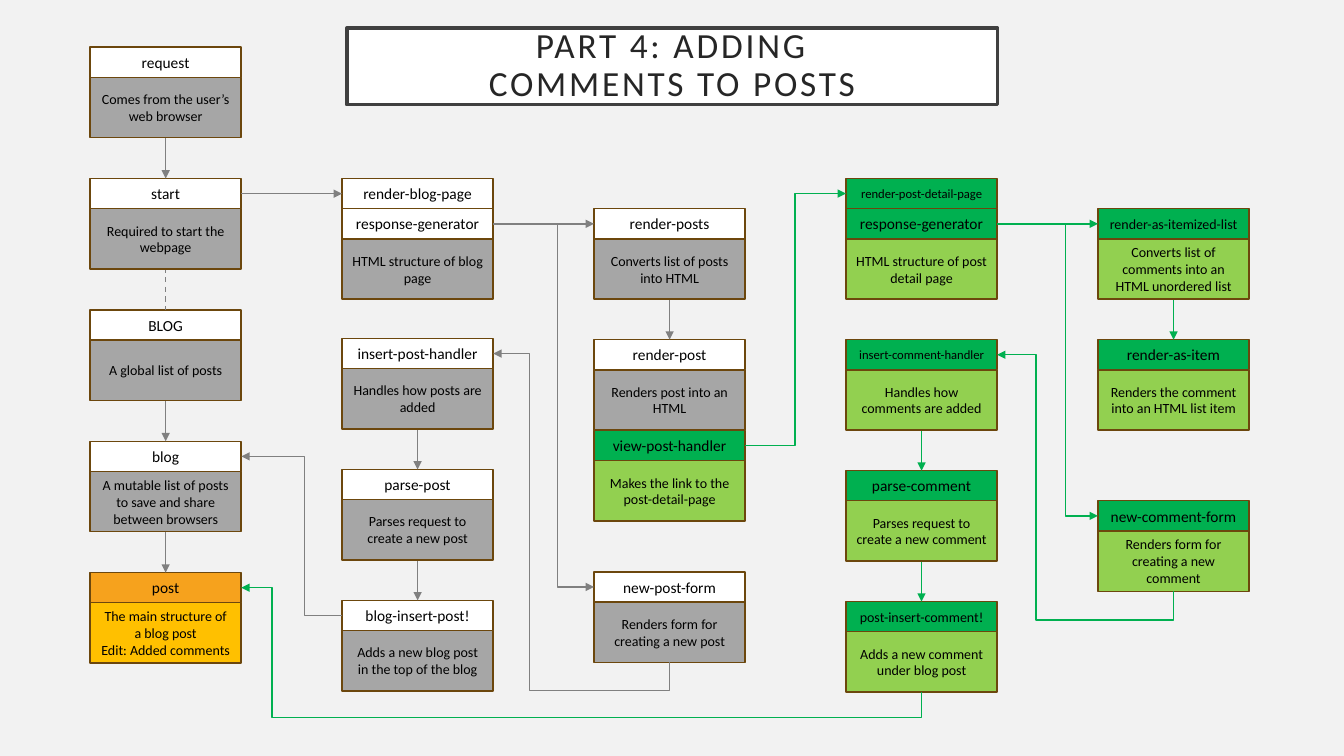
from collections import namedtuple

from lxml.etree import SubElement
from pptx import Presentation
from pptx.dml.color import RGBColor
from pptx.enum.dml import MSO_LINE_DASH_STYLE as Dash
from pptx.enum.shapes import MSO_CONNECTOR_TYPE as Link, MSO_SHAPE as Shape
from pptx.enum.text import MSO_ANCHOR as Anchor, PP_ALIGN as Align
from pptx.oxml.ns import qn
from pptx.util import Cm, Pt

PAPER = RGBColor(0xF2, 0xF2, 0xF2)
WHITE = RGBColor(0xFF, 0xFF, 0xFF)
BLACK = RGBColor(0, 0, 0)
INK = RGBColor(0x26, 0x26, 0x26)
FRAME = RGBColor(0x40, 0x40, 0x40)
BROWN = RGBColor(0x6C, 0x47, 0x0D)
GREY = RGBColor(0x80, 0x80, 0x80)
SILVER = RGBColor(0xA6, 0xA6, 0xA6)
GREEN = RGBColor(0x00, 0xB0, 0x50)
LIME = RGBColor(0x92, 0xD0, 0x50)
ORANGE = RGBColor(0xF6, 0xA2, 0x1D)
GOLD = RGBColor(0xFF, 0xC0, 0x00)

TOP, LEFT, BOTTOM, RIGHT = range(4)
COLUMN_START, COLUMN_STEP = 2.27, 6.35
CARD_WIDTH, HEAD_HEIGHT, BODY_HEIGHT = 3.81, 0.76, 1.52
OLD, NEW, CHANGED = (WHITE, SILVER), (GREEN, LIME), (ORANGE, GOLD)

Card = namedtuple("Card", "key column top colors body size", defaults=(11,))
CARDS = [
    Card("request", 0, 1.19, OLD, "Comes from the user’s web browser"),
    Card("start", 0, 4.5, OLD, "Required to start the webpage"),
    Card("BLOG", 0, 7.81, OLD, "A global list of posts"),
    Card("blog", 0, 11.12, OLD,
         "A mutable list of posts to save and share between browsers"),
    Card("post", 0, 14.43, CHANGED,
         "The main structure of a blog post\nEdit: Added comments"),
    Card("render-blog-page", 1, 4.5, OLD, None),
    Card("response-generator", 1, 5.26, OLD, "HTML structure of blog page"),
    Card("insert-post-handler", 1, 8.53, OLD, "Handles how posts are added"),
    Card("parse-post", 1, 11.83, OLD, "Parses request to create a new post"),
    Card("blog-insert-post!", 1, 15.13, OLD,
         "Adds a new blog post in the top of the blog"),
    Card("render-posts", 2, 5.26, OLD, "Converts list of posts into HTML"),
    Card("render-post", 2, 8.56, OLD, "Renders post into an HTML"),
    Card("view-post-handler", 2, 10.85, NEW,
         "Makes the link to the post-detail-page"),
    Card("new-post-form", 2, 14.41, OLD, "Renders form for creating a new post"),
    Card("render-post-detail-page", 3, 4.5, NEW, None, 9),
    Card("response-generator", 3, 5.26, NEW,
         "HTML structure of post detail page"),
    Card("insert-comment-handler", 3, 8.56, NEW,
         "Handles how comments are added", 9),
    Card("parse-comment", 3, 11.86, NEW,
         "Parses request to create a new comment"),
    Card("post-insert-comment!", 3, 15.16, NEW,
         "Adds a new comment under blog post", 10),
    Card("render-as-itemized-list", 4, 5.26, NEW,
         "Converts list of comments into an HTML unordered list", 10),
    Card("render-as-item", 4, 8.56, NEW,
         "Renders the comment into an HTML list item"),
    Card("new-comment-form", 4, 12.62, NEW,
         "Renders form for creating a new comment"),
]
DOWNWARD = [
    (GREY, ["request", "start"]),
    (GREY, ["BLOG", "blog", "post"]),
    (GREY, ["insert-post-handler", "parse-post", "blog-insert-post!"]),
    (GREY, ["render-posts", "render-post"]),
    (GREEN, ["insert-comment-handler", "parse-comment", "post-insert-comment!"]),
    (GREEN, ["render-as-itemized-list", "render-as-item"]),
]
ACROSS = [
    (GREY, ("start", 0), ("render-blog-page", 1)),
    (GREY, ("response-generator", 1), ("render-posts", 2)),
    (GREEN, ("response-generator", 3), ("render-as-itemized-list", 4)),
]
STEPPED = [
    (GREY, ("response-generator", 1), RIGHT, ("new-post-form", 2), LEFT, 14.05),
    (GREEN, ("response-generator", 3), RIGHT, ("new-comment-form", 4), LEFT, 26.85),
    (GREEN, ("view-post-handler", 2), RIGHT,
     ("render-post-detail-page", 3), LEFT, 20.04),
    (GREY, ("blog-insert-post!", 1), LEFT, ("blog", 0), RIGHT, 7.67),
]
LOOPED = [
    (GREEN, ("post-insert-comment!", 3), ("post", 0), 6.86, 18.08),
    (GREY, ("new-post-form", 2), ("insert-post-handler", 1), 13.34, 17.4),
    (GREEN, ("new-comment-form", 4), ("insert-comment-handler", 3), 26.11, 15.62),
]


def apply(target, values):
    for name, value in values.items():
        setattr(target, name, value)


class Diagram:
    font = "Calibri"

    def __init__(self, page):
        self.page = page
        page.background.fill.solid()
        page.background.fill.fore_color.rgb = PAPER

    def box(self, place, text, size, fill, edge=BROWN, weight=1, ink=BLACK):
        box = self.page.shapes.add_shape(Shape.RECTANGLE, *map(Cm, place))
        box.shadow.inherit = False
        box.fill.solid()
        box.fill.fore_color.rgb = fill
        box.line.color.rgb = edge
        box.line.width = Pt(weight)
        frame = box.text_frame
        apply(frame, {"text": text, "word_wrap": True,
                      "vertical_anchor": Anchor.MIDDLE})
        for para in frame.paragraphs:
            para.alignment = Align.CENTER
            for span in para.runs:
                apply(span.font, {"name": self.font, "size": Pt(size)})
                span.font.color.rgb = ink
        return box

    def title(self, place, text):
        box = self.box(place, text, 25.2, WHITE, FRAME, 2.5, INK)
        sides = ("left", "top", "right", "bottom")
        apply(box.text_frame, {f"margin_{side}": Cm(0.51) for side in sides})
        for para in box.text_frame.paragraphs:
            para.line_spacing = 0.9
            for span in para.runs:
                span.font._element.set("spc", "200")

    def link(self, kind, color, start, start_side, end, end_side, dashed=False):
        line = self.page.shapes.add_connector(kind, 0, 0, 0, 0)
        line.begin_connect(start, start_side)
        line.end_connect(end, end_side)
        line.line.color.rgb = color
        line.line.width = Pt(1)
        if dashed:
            line.line.dash_style = Dash.DASH
        else:
            SubElement(line.line._ln, qn("a:tailEnd"), type="triangle")
        SubElement(line._element.spPr, qn("a:effectLst"))
        return line

    def arrow(self, *ends, dashed=False):
        return self.link(Link.STRAIGHT, *ends, dashed=dashed)

    def elbow(self, color, start, start_side, end, end_side, lane, low=None):
        line = self.link(Link.ELBOW, color, start, start_side, end, end_side)
        across = line.end_x - line.begin_x
        bends = [(Cm(lane) - line.begin_x) / across]
        geometry = line._element.spPr.find(qn("a:prstGeom"))
        if low is not None:
            bends.insert(0, (line.begin_y - Cm(low)) / line.height)
            geometry.set("prst", "bentConnector4")
            self.turn(line, 90, True)
        elif across < 0:
            self.turn(line, 180, False)
        guides = geometry.find(qn("a:avLst"))
        for number, bend in enumerate(bends, 1):
            SubElement(guides, qn("a:gd"), name=f"adj{number}",
                       fmla=f"val {round(bend * 100000)}")

    def turn(self, line, angle, flipped):
        width, height = line.width, line.height
        middle_x, middle_y = line.left + width // 2, line.top + height // 2
        if angle == 90:
            width, height = height, width
        apply(line, {"left": middle_x - width // 2, "top": middle_y - height // 2,
                     "width": width, "height": height})
        apply(line._element.spPr.get_or_add_xfrm(),
              {"rot": float(angle), "flipH": flipped, "flipV": False})


def main():
    deck = Presentation()
    apply(deck, {"slide_width": Cm(33.87), "slide_height": Cm(19.05)})
    diagram = Diagram(deck.slides.add_slide(deck.slide_layouts[6]))
    diagram.title((8.74, 0.71, 16.4, 1.93), "PART 4: ADDING\vCOMMENTS TO POSTS")

    heads, bodies = {}, {}
    for card in CARDS:
        left = COLUMN_START + card.column * COLUMN_STEP
        heads[card.key, card.column] = diagram.box(
            (left, card.top, CARD_WIDTH, HEAD_HEIGHT),
            card.key, card.size, card.colors[0])
    columns = {card.key: card.column for card in CARDS}
    for color, chain in DOWNWARD:
        stack = [heads[key, columns[key]] for key in chain]
        for upper, lower in zip(stack, stack[1:]):
            diagram.arrow(color, upper, BOTTOM, lower, TOP)
    diagram.arrow(GREY, heads["start", 0], BOTTOM, heads["BLOG", 0], TOP, dashed=True)
    for color, start, end in ACROSS:
        diagram.arrow(color, heads[start], RIGHT, heads[end], LEFT)

    for card in CARDS:
        if card.body:
            left = COLUMN_START + card.column * COLUMN_STEP
            bodies[card.key, card.column] = diagram.box(
                (left, card.top + HEAD_HEIGHT, CARD_WIDTH, BODY_HEIGHT),
                card.body, 10, card.colors[1])
    for color, start, start_side, end, end_side, lane in STEPPED:
        diagram.elbow(color, heads[start], start_side, heads[end], end_side, lane)
    for color, start, end, lane, low in LOOPED:
        diagram.elbow(color, bodies[start], BOTTOM, heads[end], RIGHT, lane, low)
    deck.save("out.pptx")


if __name__ == "__main__":
    main()
